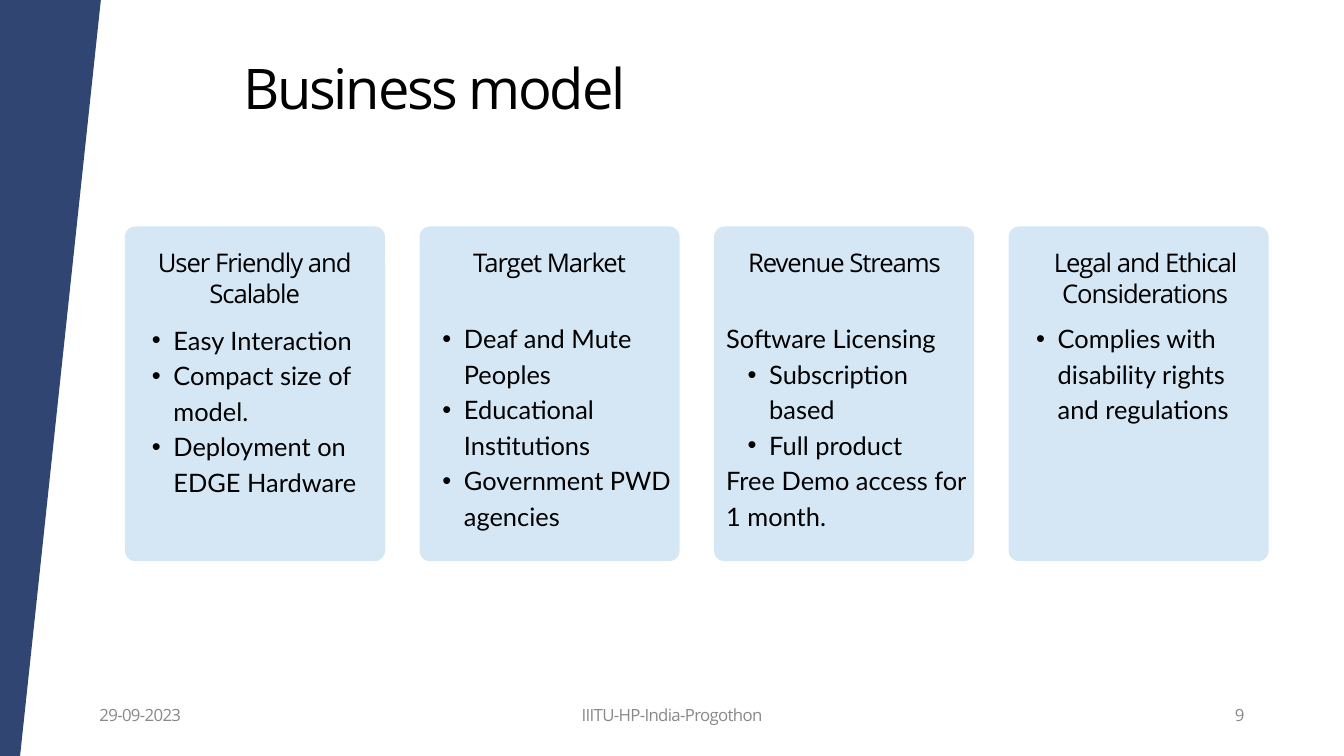
from lxml import etree
from pptx import Presentation
from pptx.dml.color import RGBColor
from pptx.enum.shapes import MSO_SHAPE as SHAPE
from pptx.enum.text import PP_ALIGN as ALIGN
from pptx.oxml.ns import qn
from pptx.util import Inches, Pt

COLORS = {"band": "304572", "card": "D5E7F5", "text": "000000", "footer": "898989"}

# size, line spacing and letter spacing in points
STYLES = {
    "title": {"font": "Open Sans", "size": 60, "line": 64.8, "tracking": -2.4, "color": "text"},
    "heading": {"font": "Open Sans", "size": 27.5, "line": 33, "tracking": -1.1, "color": "text"},
    "body": {"font": "Lato", "size": 27.2, "line": 38, "tracking": 0, "color": "text"},
    "footer": {"font": "Open Sans", "size": 18, "line": 21.6, "tracking": -0.7, "color": "footer"},
}

# heading and body boxes: left, top and width from the card's corner;
# body lines: bullet or not, text
CARDS = [
    {"heading": ["User Friendly and", "Scalable"], "heading_box": (0.38, 0.31, 3.1),
     "body_box": (0.08, 1.39, 3.85),
     "body": [(True, "Easy Interaction"), (True, "Compact size of model."),
              (True, "Deployment on EDGE Hardware")]},
    {"heading": ["Target Market"], "heading_box": (0.57, 0.31, 2.73),
     "body_box": (0.02, 1.37, 3.85),
     "body": [(True, "Deaf and Mute Peoples"), (True, "Educational Institutions"),
              (True, "Government PWD agencies")]},
    {"heading": ["Revenue Streams"], "heading_box": (0.33, 0.31, 3.22),
     "body_box": (0.18, 1.37, 3.69),
     "body": [(False, "Software Licensing"), (True, "Subscription based"),
              (True, "Full product"), (False, "Free Demo access for 1 month.")]},
    {"heading": ["Legal and Ethical Considerations"], "heading_box": (0.42, 0.31, 3.22),
     "body_box": (0.09, 1.37, 3.69),
     "body": [(True, "Complies with disability rights and regulations")]},
]


def add_filled_shape(slide, kind, box, color):
    shape = slide.shapes.add_shape(kind, *map(Inches, box))
    shape.shadow.inherit = False
    shape.fill.solid()
    shape.fill.fore_color.rgb = RGBColor.from_string(COLORS[color])
    shape.line.fill.background()
    return shape


def make_bullet(paragraph):
    paragraph.level = 1
    properties = paragraph._p.get_or_add_pPr()
    properties.set("marL", str(Inches(0.64)))
    properties.set("indent", str(Inches(-0.32)))
    etree.SubElement(properties, qn("a:buFont")).set("typeface", "Arial")
    etree.SubElement(properties, qn("a:buChar")).set("char", "•")


def add_text(slide, box, lines, style_name, align=ALIGN.LEFT):
    """Add a text box with one paragraph for each (bullet, text) pair."""
    style = STYLES[style_name]
    frame = slide.shapes.add_textbox(*map(Inches, box)).text_frame
    frame.word_wrap = True
    for side in ("left", "top", "right", "bottom"):
        setattr(frame, f"margin_{side}", 0)
    for index, (bullet, text) in enumerate(lines):
        paragraph = frame.add_paragraph() if index else frame.paragraphs[0]
        if bullet:
            make_bullet(paragraph)
        paragraph.alignment = align
        paragraph.line_spacing = Pt(style["line"])
        run = paragraph.add_run()
        run.text = text
        for name, value in {"name": style["font"], "size": Pt(style["size"])}.items():
            setattr(run.font, name, value)
        run.font.color.rgb = RGBColor.from_string(COLORS[style["color"]])
        if style["tracking"]:
            run._r.get_or_add_rPr().set("spc", str(round(style["tracking"] * 100)))


def add_band(slide, box):
    add_filled_shape(slide, SHAPE.RECTANGLE, box, "band").rotation = 6.1


def add_footer(slide, box):
    left, top, width, height = box
    side, middle = 4.3, 6.55
    parts = [
        (left, side, "29-09-2023", ALIGN.LEFT),
        (left + (width - middle) / 2, middle, "IIITU-HP-India-Progothon", ALIGN.CENTER),
        (left + width - side, side, "9", ALIGN.RIGHT),
    ]
    for part_left, part_width, text, align in parts:
        add_text(slide, (part_left, top, part_width, height), [(False, text)], "footer", align)


def add_card(slide, box, card):
    left, top, width, height = box
    shape = add_filled_shape(slide, SHAPE.ROUNDED_RECTANGLE, box, "card")
    shape.adjustments[0] = 0.04
    heading = [(False, line) for line in card["heading"]]
    for part, lines, part_height, align in (
        ("heading", heading, 0.89, ALIGN.CENTER),
        ("body", card["body"], 3.11, ALIGN.LEFT),
    ):
        x, y, part_width = card[f"{part}_box"]
        add_text(slide, (left + x, top + y, part_width, part_height), lines, part, align)


def add_cards(slide, box):
    left, top, width, height = box
    card_width = 3.87
    step = (width - card_width) / (len(CARDS) - 1)
    for index, card in enumerate(CARDS):
        add_card(slide, (left + index * step, top, card_width, height), card)


def main():
    presentation = Presentation()
    presentation.slide_width = Inches(20)
    presentation.slide_height = Inches(11.25)
    slide = presentation.slides.add_slide(presentation.slide_layouts[6])
    add_band(slide, (-0.65, -0.13, 1.52, 11.99))
    add_footer(slide, (1.48, 10.49, 17.04, 0.49))
    add_text(slide, (3.62, 0.9, 16.38, 0.91), [(False, "Business model")], "title")
    add_cards(slide, (1.86, 3.37, 17.02, 4.98))
    presentation.save("out.pptx")


if __name__ == "__main__":
    main()
